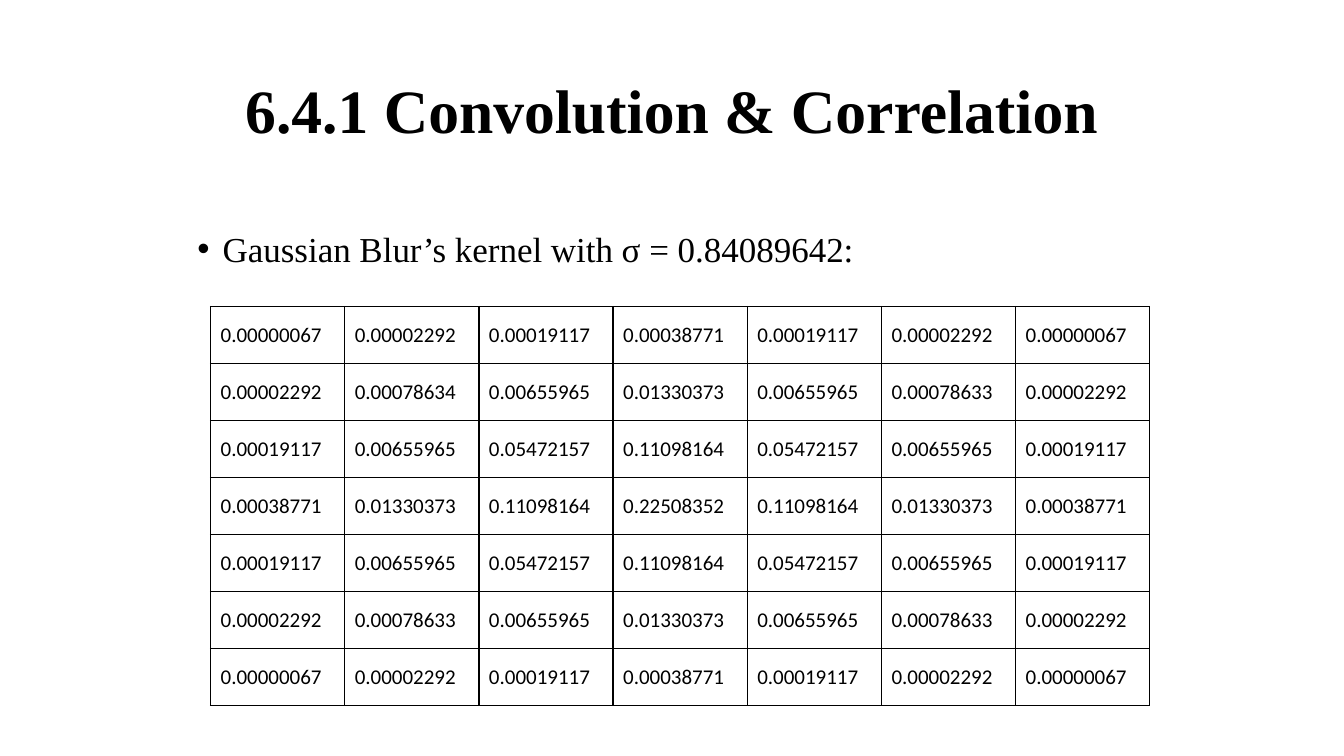
from pptx import Presentation
from pptx.dml.color import RGBColor
from pptx.enum.text import MSO_ANCHOR as Anchor, PP_ALIGN as Align
from pptx.oxml import parse_xml
from pptx.oxml.ns import nsdecls
from pptx.util import Pt

BLACK = RGBColor(0x00, 0x00, 0x00)
WHITE = RGBColor(0xFF, 0xFF, 0xFF)
SERIF = "Times New Roman"
SANS = "Calibri"

KERNEL = """
0.00000067 0.00002292 0.00019117 0.00038771 0.00019117 0.00002292 0.00000067
0.00002292 0.00078634 0.00655965 0.01330373 0.00655965 0.00078633 0.00002292
0.00019117 0.00655965 0.05472157 0.11098164 0.05472157 0.00655965 0.00019117
0.00038771 0.01330373 0.11098164 0.22508352 0.11098164 0.01330373 0.00038771
0.00019117 0.00655965 0.05472157 0.11098164 0.05472157 0.00655965 0.00019117
0.00002292 0.00078633 0.00655965 0.01330373 0.00655965 0.00078633 0.00002292
0.00000067 0.00002292 0.00019117 0.00038771 0.00019117 0.00002292 0.00000067
"""


def set_font(par, name, size, bold=False):
    font = par.font
    font.name = name
    font.size = Pt(size)
    font.bold = bold
    font.color.rgb = BLACK


def add_text(slide, text, box, anchor):
    """Add a wrapped text box and return its one paragraph."""
    frame = slide.shapes.add_textbox(*map(Pt, box)).text_frame
    frame.word_wrap = True
    frame.vertical_anchor = anchor
    par = frame.paragraphs[0]
    par.text = text
    par.line_spacing = 0.9
    return par


def add_bullet(par, indent):
    props = par._p.get_or_add_pPr()
    props.set("marL", str(Pt(indent)))
    props.set("indent", str(Pt(-indent)))
    props.append(parse_xml(f'<a:buFont {nsdecls("a")} typeface="Arial"/>'))
    props.append(parse_xml(f'<a:buChar {nsdecls("a")} char="•"/>'))


def add_border(cell, width):
    props = cell._tc.get_or_add_tcPr()
    for side in "LRTB":
        props.append(parse_xml(
            f'<a:ln{side} {nsdecls("a")} w="{Pt(width)}">'
            f'<a:solidFill><a:srgbClr val="{BLACK}"/></a:solidFill>'
            f'</a:ln{side}>'))


def fill_cell(cell, text):
    add_border(cell, 1)
    cell.fill.solid()
    cell.fill.fore_color.rgb = WHITE
    cell.vertical_anchor = Anchor.MIDDLE
    par = cell.text_frame.paragraphs[0]
    par.text = text
    set_font(par, SANS, 15)


def add_grid(slide, rows, left, top, col_width, row_height):
    count = len(rows[0])
    table = slide.shapes.add_table(
        len(rows), count, Pt(left), Pt(top),
        Pt(col_width * count), Pt(row_height * len(rows))).table
    table.first_row = False
    table.horz_banding = False
    for col in table.columns:
        col.width = Pt(col_width)
    for row, values in zip(table.rows, rows):
        row.height = Pt(row_height)
        for cell, value in zip(row.cells, values):
            fill_cell(cell, value)


def main():
    deck = Presentation()
    deck.slide_width = Pt(960)
    deck.slide_height = Pt(540)
    slide = deck.slides.add_slide(deck.slide_layouts[6])

    title = add_text(slide, "6.4.1 Convolution & Correlation",
                     (66, 28.75, 828, 104.4), Anchor.MIDDLE)
    title.alignment = Align.CENTER
    set_font(title, SERIF, 44, bold=True)

    intro = add_text(slide, "Gaussian Blur’s kernel with σ = 0.84089642:",
                     (134, 162, 690, 363.6), Anchor.TOP)
    add_bullet(intro, 18)
    set_font(intro, SERIF, 25)

    rows = [line.split() for line in KERNEL.strip().splitlines()]
    add_grid(slide, rows, 150.4, 218.9, 95.85, 40.73)

    deck.save("out.pptx")


if __name__ == "__main__":
    main()
